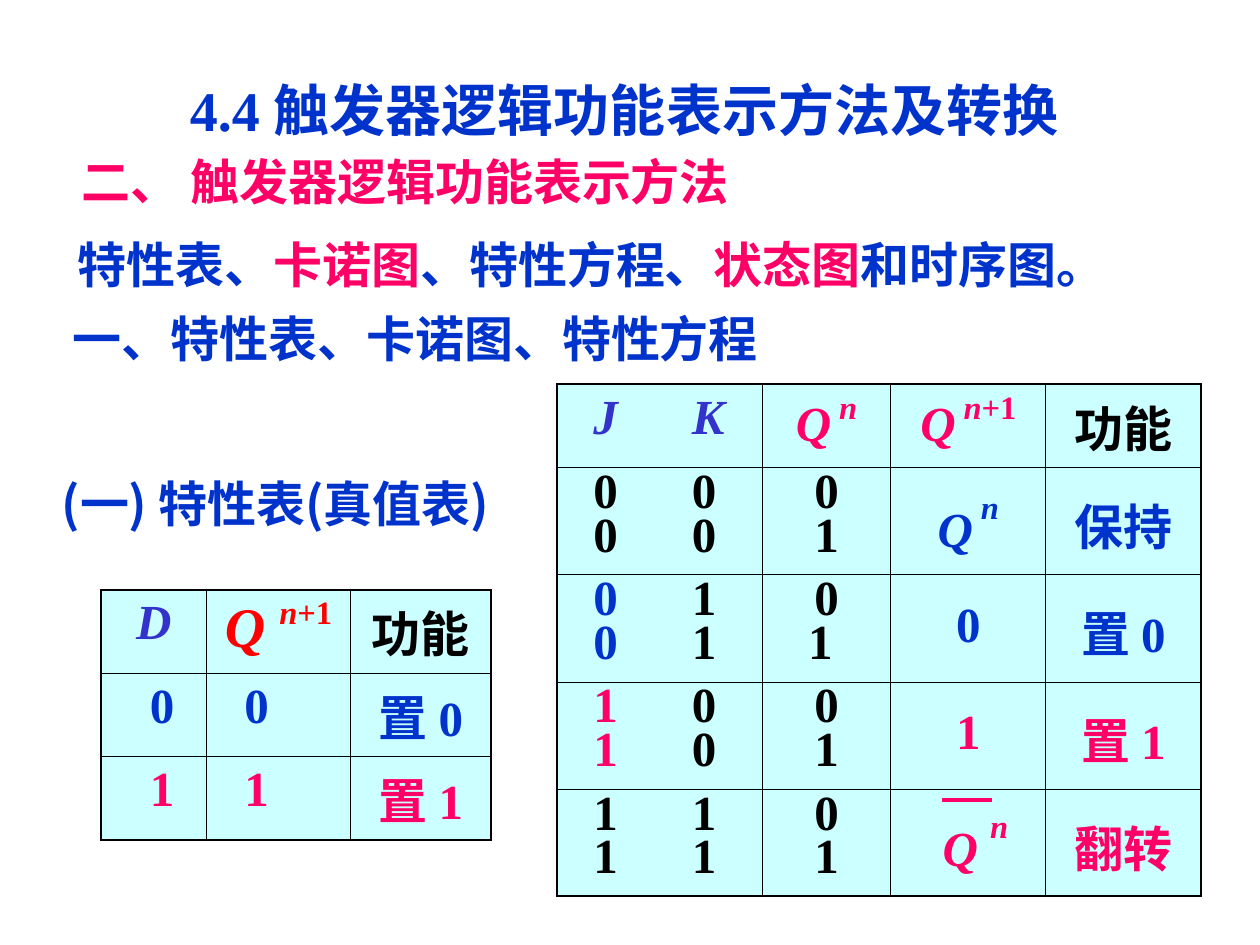
from lxml import etree
from pptx import Presentation
from pptx.dml.color import RGBColor
from pptx.enum.shapes import MSO_CONNECTOR
from pptx.enum.text import MSO_ANCHOR, MSO_AUTO_SIZE, PP_ALIGN
from pptx.oxml.ns import qn
from pptx.util import Inches, Pt

LEFT, MID = PP_ALIGN.LEFT, PP_ALIGN.CENTER
TOP, NOFIT = MSO_ANCHOR.TOP, MSO_AUTO_SIZE.NONE
STRAIGHT = MSO_CONNECTOR.STRAIGHT
HUES = {"blue": "0033CC", "pink": "FF0066", "red": "FF0000",
        "violet": "3333CC", "black": "000000", "pale": "CCFFFF"}
SERIF, SANS = "Times New Roman", "Noto Sans CJK SC"
STOPS = (0.19, 0.97)
DROP = 0.26


def hue(name):
    return RGBColor.from_string(HUES[name])


class Deck:
    def __init__(self):
        self.prs = Presentation()
        self.prs.slide_width, self.prs.slide_height = Inches(10), Inches(7.5)
        self.slide = self.prs.slides.add_slide(self.prs.slide_layouts[5])

    def run(self, para, text, color="blue", size=28, tilt=False, lift=0, face=SERIF):
        run = para.add_run()
        run.text = text
        font = run.font
        font.name, font.size, font.bold, font.italic = face, Pt(size), True, tilt
        font.color.rgb = hue(color)
        props = font._element
        if lift:
            props.set("baseline", str(lift * 1000))
        east = etree.Element(qn("a:ea"), typeface=SANS)
        props.find(qn("a:latin")).addnext(east)

    def fill(self, para, runs, align=LEFT):
        para.alignment = align
        for spec in runs:
            self.run(para, *spec)

    def box(self, shape, runs, align=LEFT):
        frame = shape.text_frame
        frame.word_wrap, frame.auto_size = True, NOFIT
        frame.vertical_anchor = TOP
        self.fill(frame.paragraphs[0], runs, align)

    def title(self, spot, runs):
        shape = self.slide.shapes.title
        shape.left, shape.top, shape.width, shape.height = map(Inches, spot)
        self.box(shape, runs, MID)

    def text(self, spot, runs):
        self.box(self.slide.shapes.add_textbox(*map(Inches, spot)), runs)

    def tabs(self, para):
        group = etree.SubElement(para._p.get_or_add_pPr(), qn("a:tabLst"))
        for stop in STOPS:
            etree.SubElement(group, qn("a:tab"), pos=str(Inches(stop)), algn="l")

    def edges(self, cell, outer):
        props = cell._tc.get_or_add_tcPr()
        for spot, side in enumerate("LRTB"):
            width = Pt(1.08 if side in outer else 0.45)
            line = etree.Element(qn("a:ln" + side), w=str(width))
            solid = etree.SubElement(line, qn("a:solidFill"))
            etree.SubElement(solid, qn("a:srgbClr"), val=HUES["black"])
            props.insert(spot, line)

    def cell(self, cell, lines, align=MID, drop=0.05, indent=0, space=None):
        cell.fill.solid()
        cell.fill.fore_color.rgb = hue("pale")
        cell.margin_top = Inches(drop)
        frame = cell.text_frame
        for num, runs in enumerate(lines):
            para = frame.add_paragraph() if num else frame.paragraphs[0]
            self.fill(para, runs, align)
            if space:
                para.line_spacing = space
            if indent:
                para._p.get_or_add_pPr().set("marL", str(Inches(indent)))
            if runs[0][0].startswith("\t"):
                self.tabs(para)

    def table(self, left, top, cols, rows, cells):
        frame = self.slide.shapes.add_table(
            len(rows), len(cols), Inches(left), Inches(top),
            Inches(sum(cols)), Inches(sum(rows)))
        grid = frame.table
        grid.first_row = grid.horz_banding = False
        for col, width in zip(grid.columns, cols):
            col.width = Inches(width)
        for row, height in zip(grid.rows, rows):
            row.height = Inches(height)
        for r, line in enumerate(cells):
            for c, spec in enumerate(line):
                cell = grid.cell(r, c)
                self.cell(cell, **spec)
                outer = ("L" * (c == 0) + "R" * (c == len(cols) - 1)
                         + "T" * (r == 0) + "B" * (r == len(rows) - 1))
                self.edges(cell, outer)

    def line(self, x1, y1, x2, y2, color, width):
        line = self.slide.shapes.add_connector(STRAIGHT, *map(Inches, (x1, y1, x2, y2)))
        line.line.color.rgb = hue(color)
        line.line.width = Pt(width)
        etree.SubElement(line._element.spPr, qn("a:effectLst"))

    def save(self):
        self.prs.save("out.pptx")


def one(*runs, **look):
    return dict(lines=[runs], **look)


def pair(j, k, color="black"):
    line = [("\t" + j, color), ("\t" + k, "black")]
    return dict(lines=[line, line], space=0.8, align=LEFT)


def state(*marks):
    return dict(lines=[[(mark, "black")] for mark in marks], space=0.8)


def low(*runs, drop=DROP):
    return one(*runs, drop=drop, space=0.8)


def main():
    deck = Deck()
    deck.title((0.33, 0.55, 9.25, 0.64), [("4.4 触发器逻辑功能表示方法及转换", "blue", 32)])
    deck.text((0.55, 1.15, 7.14, 0.57),
              [("二、 ", "pink"), ("触发器逻辑功能表示方法", "pink", 28, False, 0, SANS)])
    deck.text((0.48, 2.4, 6.33, 0.57),
              [("一、", "blue", 28, False, 0, SANS), ("特性表、卡诺图、特性方程",)])
    deck.text((0.52, 1.81, 9, 0.57),
              [("特性表、",), ("卡诺图", "pink"), ("、特性方程、",),
               ("状态图", "pink"), ("和时序图。",)])
    deck.text((0.39, 3.71, 4.6, 0.57),
              [("(一) ", "blue", 28, False, 0, SANS), ("特性表",),
               ("(", "blue", 28, False, 0, SANS), ("真值表",),
               (")", "blue", 28, False, 0, SANS)])

    role = one(("功能", "black"))
    data = [[one(("D", "violet", 28, True)),
             one(("Q ", "red", 32, True), ("n", "red", 32, True, 40),
                 ("+1", "red", 32, False, 40)), role]]
    for bit, color in (("0", "blue"), ("1", "pink")):
        data.append([one((bit, color), align=LEFT, indent=0.29),
                     one((bit, color), align=LEFT, indent=0.2),
                     one(("置 " + bit, color))])
    deck.table(0.8, 4.68, (0.84, 1.14, 1.12), (0.64, 0.57, 0.57), data)

    now = [("Q", "pink", 28, True), (" n", "pink", 32, True, 40)]
    jk = [[one(("\tJ", "violet", 28, True), ("\tK", "violet", 28, True), align=LEFT),
           one(*now), one(*now, ("+1", "pink", 32, False, 40)), role],
          [pair("0", "0"), state("0", "1"),
           low(("Q", "blue", 28, True), (" n", "blue", 32, True, 50), drop=0.28),
           low(("保持",))],
          [pair("0", "1", "blue"), state("0", "1 "), low(("0",)), low(("置 0",))],
          [pair("1", "0", "pink"), state("0", "1"),
           low(("1", "pink")), low(("置 1", "pink"))],
          [pair("1", "1"), state("0", "1"),
           low((" ", "pink", 32, True), ("Q ", "pink", 28, True),
               ("n", "pink", 32, True, 50)),
           low(("翻转", "pink"))]]
    deck.table(4.42, 3.05, (1.63, 1.02, 1.23, 1.23), [0.64] + [0.85] * 4, jk)
    deck.line(7.48, 6.35, 7.87, 6.35, "pink", 2.25)
    deck.save()


if __name__ == "__main__":
    main()
